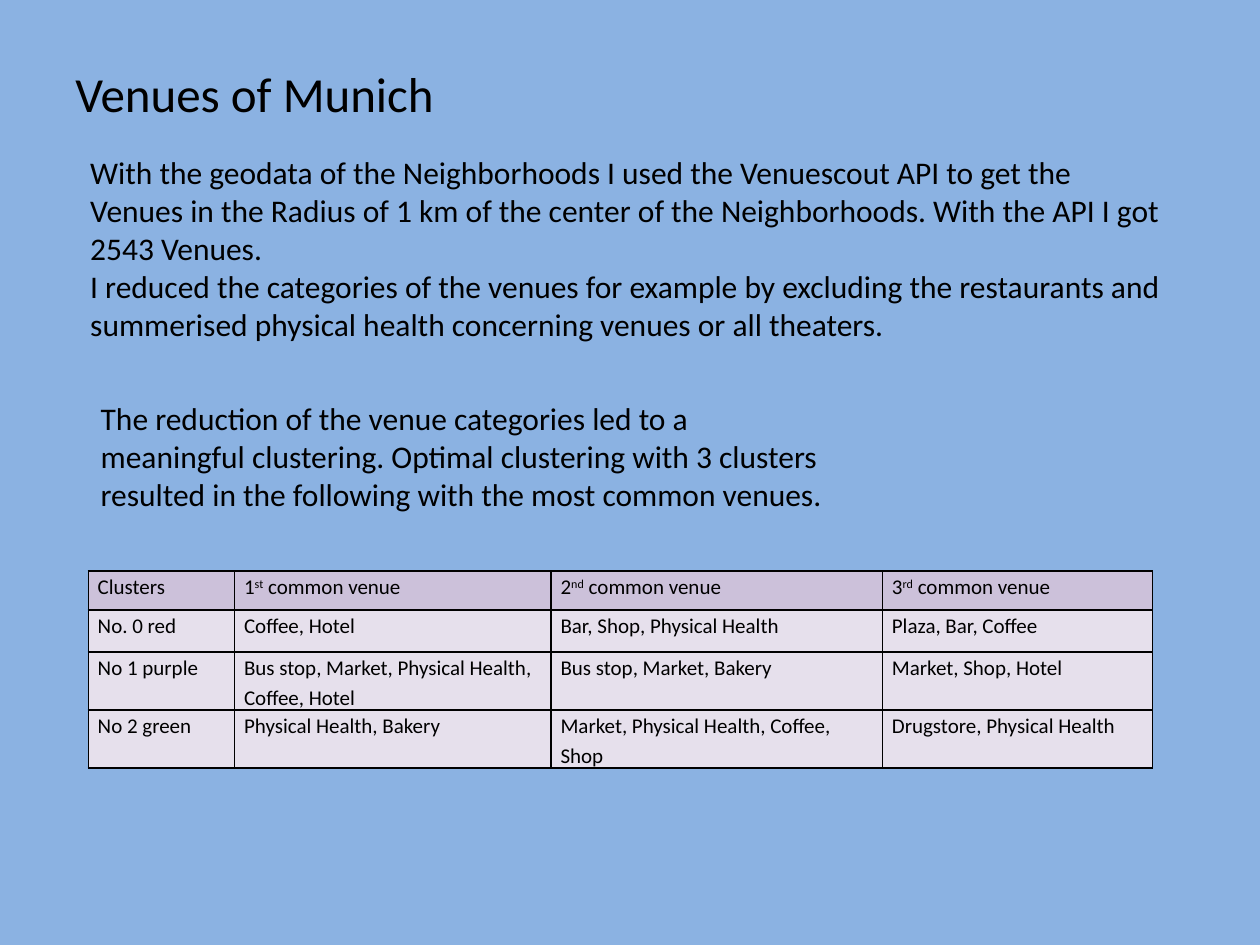
"""Builds the slide "Venues of Munich" with its table of venue clusters."""
from dataclasses import dataclass

from lxml import etree
from pptx import Presentation
from pptx.dml.color import RGBColor
from pptx.enum.text import MSO_ANCHOR, MSO_AUTO_SIZE
from pptx.oxml.ns import qn
from pptx.util import Cm, Pt

MIDDLE, TOP = MSO_ANCHOR.MIDDLE, MSO_ANCHOR.TOP
NO_AUTOFIT, GROW = MSO_AUTO_SIZE.NONE, MSO_AUTO_SIZE.SHAPE_TO_FIT_TEXT


@dataclass(frozen=True)
class Theme:
    font: str = "Calibri"
    background: str = "8BB2E2"
    ink: str = "000000"
    header_fill: str = "CCC1DA"
    body_fill: str = "E6E0EC"
    title_size: int = 28
    text_size: int = 18
    table_size: int = 12
    border_width: int = 1


theme = Theme()


def write(frame, text, size=theme.text_size, spacing=None):
    """Write lines as paragraphs; a part between two ^ is superscript."""
    for index, line in enumerate(text.split("\n")):
        paragraph = frame.add_paragraph() if index else frame.paragraphs[0]
        if spacing:
            paragraph.line_spacing = spacing
        for position, part in enumerate(line.split("^")):
            run = paragraph.add_run()
            run.text = part
            run.font.name = theme.font
            run.font.size = Pt(size)
            run.font.color.rgb = RGBColor.from_string(theme.ink)
            if position % 2:
                run.font._element.set("baseline", "30000")


def outline(cell):
    """Draw a line on all four sides of a table cell."""
    properties = cell._tc.get_or_add_tcPr()
    for index, side in enumerate(("a:lnL", "a:lnR", "a:lnT", "a:lnB")):
        line = etree.Element(qn(side), w=str(Pt(theme.border_width)))
        fill = etree.SubElement(line, qn("a:solidFill"))
        etree.SubElement(fill, qn("a:srgbClr"), val=theme.ink)
        properties.insert(index, line)


presentation = Presentation()
presentation.slide_width, presentation.slide_height = Cm(25.4), Cm(19.05)
slide = presentation.slides.add_slide(presentation.slide_layouts[6])
slide.background.fill.solid()
slide.background.fill.fore_color.rgb = RGBColor.from_string(theme.background)

TITLE = "Venues of Munich"
METHOD = (
    "With the geodata of the Neighborhoods I used the Venuescout API to get the Venues "
    "in the Radius of 1 km of the center of the Neighborhoods. With the API I got 2543 Venues.\n"
    "I reduced the categories of the venues for example by excluding the restaurants and "
    "summerised physical health concerning venues or all theaters."
)
RESULT = (
    "The reduction of the venue categories led to a meaningful clustering. Optimal clustering "
    "with 3 clusters resulted in the following with the most common venues."
)
passages = [
    (TITLE, (1.27, 0.76, 10.64, 2.21), theme.title_size, MIDDLE, NO_AUTOFIT),
    (METHOD, (1.57, 2.97, 22.23, 4.11), theme.text_size, TOP, GROW),
    (RESULT, (1.78, 7.92, 15.29, 2.57), theme.text_size, TOP, GROW),
]
for passage, place, size, anchor, fit in passages:
    frame = slide.shapes.add_textbox(*map(Cm, place)).text_frame
    frame.word_wrap = True
    frame.auto_size = fit
    frame.vertical_anchor = anchor
    write(frame, passage, size=size)

clusters = [
    ("Clusters", "1^st^ common venue", "2^nd^ common venue", "3^rd^ common venue"),
    ("No. 0 red", "Coffee, Hotel", "Bar, Shop, Physical Health", "Plaza, Bar, Coffee"),
    ("No 1 purple", "Bus stop, Market, Physical Health, Coffee, Hotel",
     "Bus stop, Market, Bakery", "Market, Shop, Hotel"),
    ("No 2 green", "Physical Health, Bakery",
     "Market, Physical Health, Coffee, Shop", "Drugstore, Physical Health"),
]
column_widths = (2.95, 6.38, 6.68, 5.44)
row_heights = (0.79, 0.84, 1.17, 1.17)
cluster_table = slide.shapes.add_table(
    len(row_heights), len(column_widths), Cm(1.78), Cm(11.51),
    Cm(sum(column_widths)), Cm(sum(row_heights)),
).table
cluster_table.first_row = cluster_table.horz_banding = False
for column, width in zip(cluster_table.columns, column_widths):
    column.width = Cm(width)
for row_index, (row, height, venues) in enumerate(zip(cluster_table.rows, row_heights, clusters)):
    row.height = Cm(height)
    for cell, venue in zip(row.cells, venues):
        cell.margin_left = cell.margin_right = Cm(0.19)
        cell.margin_top = cell.margin_bottom = 0
        cell.fill.solid()
        cell.fill.fore_color.rgb = RGBColor.from_string(
            theme.body_fill if row_index else theme.header_fill)
        outline(cell)
        write(cell.text_frame, venue, size=theme.table_size, spacing=1.15)

presentation.save("out.pptx")
